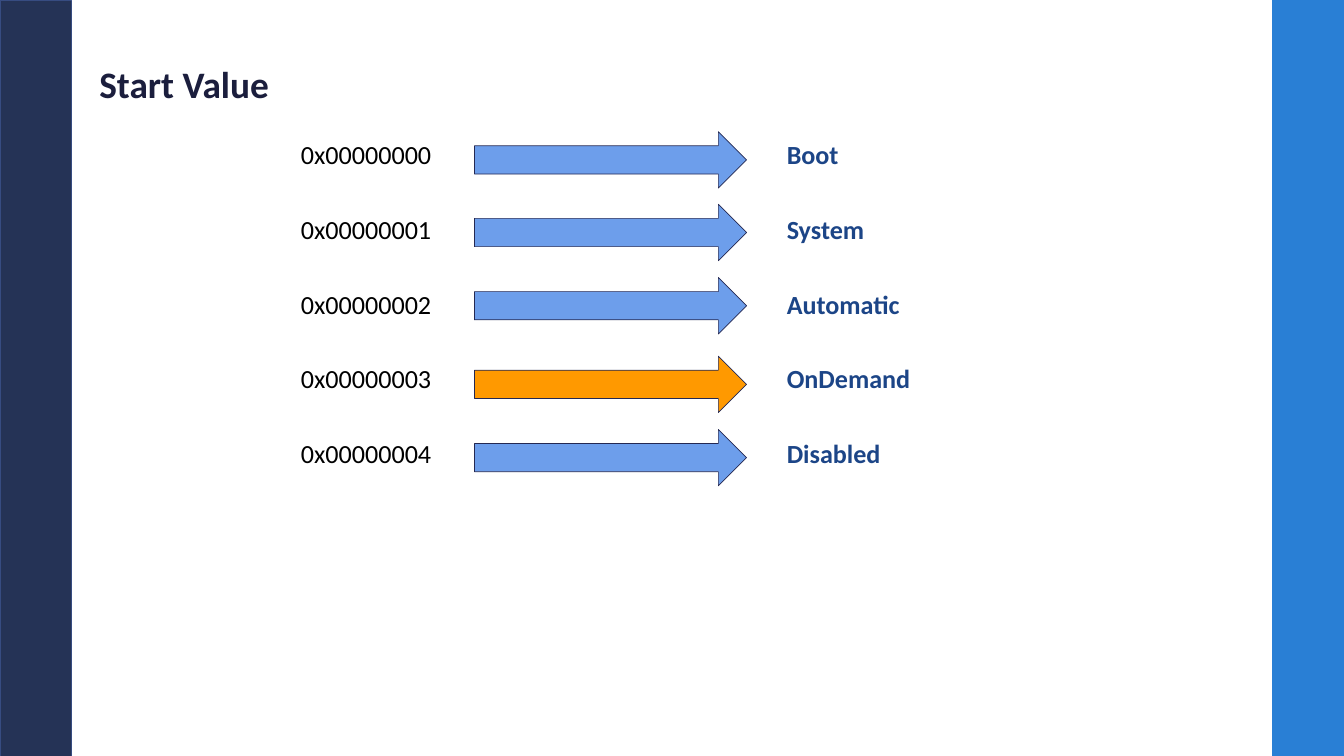
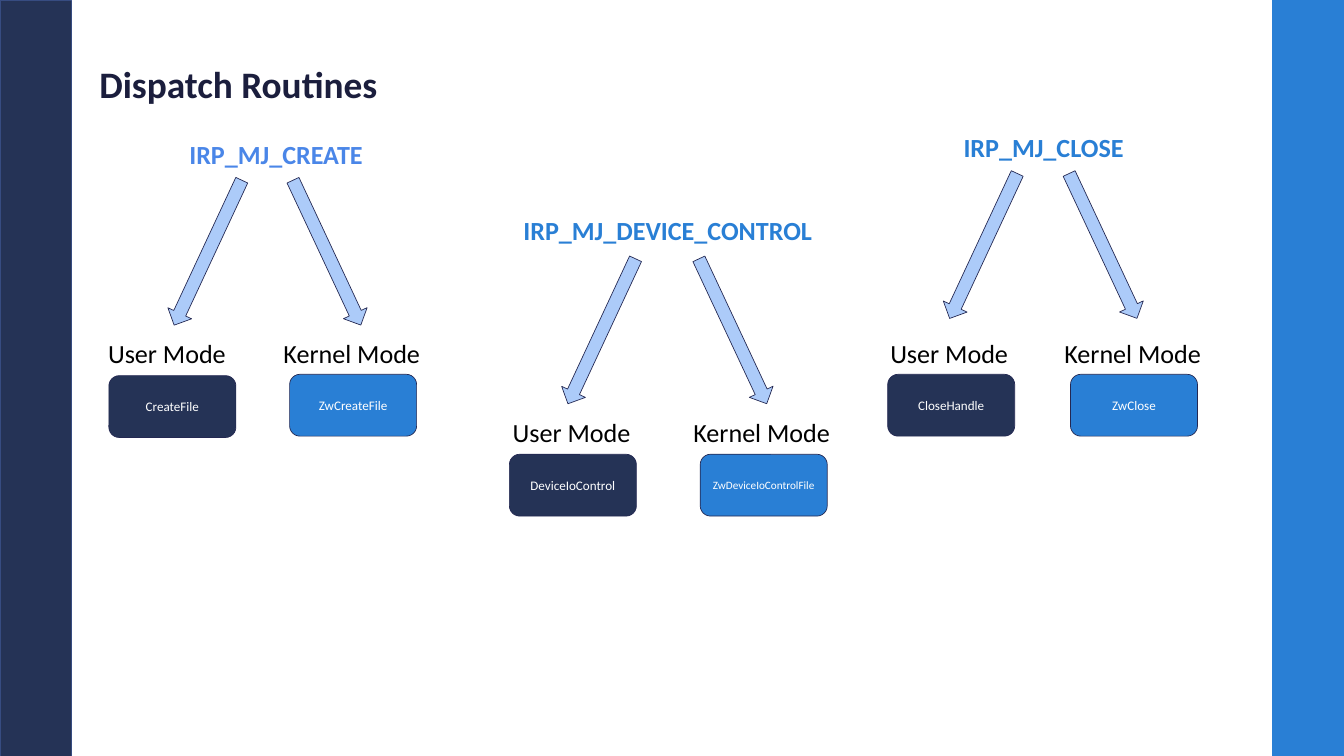
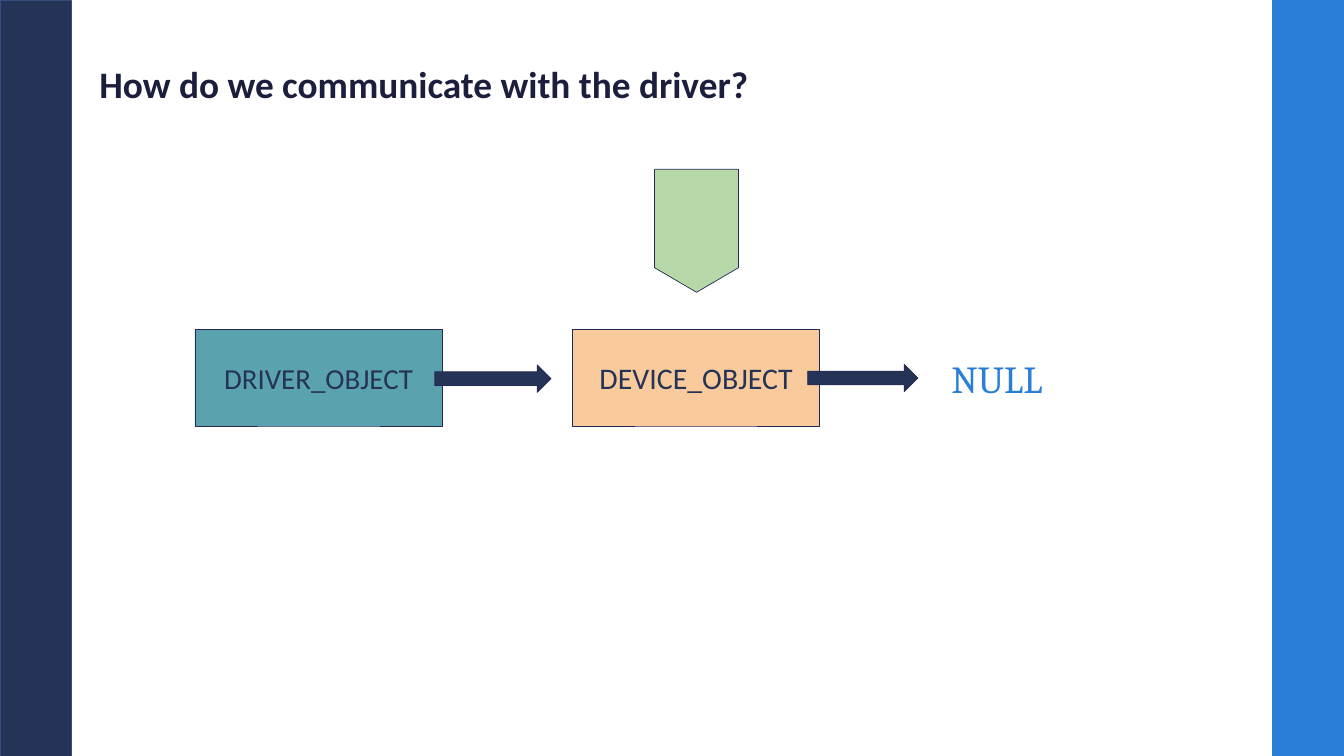
from dataclasses import dataclass
from typing import Optional

import pptx
import pptx.dml.color
import pptx.enum.shapes
import pptx.enum.text
import pptx.util

Inches = pptx.util.Inches
Pt = pptx.util.Pt
Shape = pptx.enum.shapes.MSO_SHAPE
Align = pptx.enum.text.PP_ALIGN
Anchor = pptx.enum.text.MSO_ANCHOR

# Shared palette and measures
NAVY, BLUE, OUTLINE = "253356", "297FD5", "242852"
BAND_EDGE, TITLE_INK = "374C81", "1B1E3D"
BLACK, WHITE = "000000", "FFFFFF"
ARROW_BLUE, ARROW_PALE, ARROW_ORANGE = "6D9EEB", "ACCBF9", "FF9900"
START_TYPE_INK, CREATE_INK = "1C4587", "4A86E8"
DRIVER_FILL, DEVICE_FILL, POINTER_FILL = "5AA2AE", "F9CB9C", "B6D7A8"
SLIDE_W, SLIDE_H, BAND_W = 20, 11.25, 1.06


@dataclass(frozen=True)
class Box:
    left: float
    top: float
    width: float
    height: float

    def emu(self) -> tuple:
        return tuple(Inches(v) for v in (self.left, self.top, self.width, self.height))


@dataclass(frozen=True)
class TextStyle:
    size: float
    color: str
    bold: bool = False
    font: str = "Calibri"
    align: Align = Align.LEFT
    anchor: Anchor = Anchor.TOP
    pad: float = 0.05
    line_spacing: float = 1.0
    space_before: float = 0


@dataclass(frozen=True)
class StartType:
    value: str
    name: str
    arrow_top: float
    arrow_fill: str = ARROW_BLUE


@dataclass(frozen=True)
class Branch:
    """One mode under a dispatch routine, with the call that triggers it."""
    call: str
    arrow_left: float
    label_left: float
    call_left: float
    call_top: float
    call_size: float = 14


@dataclass(frozen=True)
class Routine:
    name: str
    name_box: Box
    name_color: str
    arrow_top: float
    label_top: float
    user: Branch
    kernel: Branch


@dataclass(frozen=True)
class Mode:
    label: str
    label_width: float
    fill: str
    arrow_turn: float


TITLE = TextStyle(40, TITLE_INK, bold=True, anchor=Anchor.MIDDLE, line_spacing=0.9)
MODE_LABEL = TextStyle(28, BLACK, pad=0.1)
USER_MODE = Mode("User Mode", 2, NAVY, 25)
KERNEL_MODE = Mode("Kernel Mode", 2.28, BLUE, 334.9)

START_TYPES = [
    StartType("0x00000000", "Boot", 1.96),
    StartType("0x00000001", "System", 3.04),
    StartType("0x00000002", "Automatic", 4.13),
    StartType("0x00000003", "OnDemand", 5.3, ARROW_ORANGE),
    StartType("0x00000004", "Disabled", 6.39),
]

ROUTINES = [
    Routine("IRP_MJ_CREATE", Box(2.72, 2.06, 3.07, 0.92), CREATE_INK, 2.57, 4.92,
            Branch("CreateFile", 2.9, 1.51, 1.62, 5.59),
            Branch("ZwCreateFile", 4.67, 4.12, 4.31, 5.57)),
    Routine("IRP_MJ_DEVICE_CONTROL", Box(7.69, 3.2, 4.62, 0.92), BLUE, 3.74, 6.09,
            Branch("DeviceIoControl", 8.76, 7.53, 7.58, 6.76),
            Branch("ZwDeviceIoControlFile", 10.71, 10.22, 10.42, 6.76, 12)),
    Routine("IRP_MJ_CLOSE", Box(14.24, 1.96, 3.07, 0.92), BLUE, 2.47, 4.92,
            Branch("CloseHandle", 14.44, 13.15, 13.21, 5.57),
            Branch("ZwClose", 16.22, 15.74, 15.93, 5.57)),
]


def rgb(color: str) -> pptx.dml.color.RGBColor:
    return pptx.dml.color.RGBColor.from_string(color)


def apply(target, formats: dict) -> None:
    for name, value in formats.items():
        setattr(target, name, value)


def write(frame, lines: list[str], style: TextStyle) -> None:
    apply(frame, {
        "word_wrap": True, "vertical_anchor": style.anchor,
        "margin_left": Inches(0.1), "margin_right": Inches(0.1),
        "margin_top": Inches(style.pad), "margin_bottom": Inches(style.pad),
    })
    for index, line in enumerate(lines):
        paragraph = frame.add_paragraph() if index else frame.paragraphs[0]
        apply(paragraph, {
            "alignment": style.align, "line_spacing": style.line_spacing,
            "space_before": Pt(style.space_before),
        })
        run = paragraph.add_run()
        run.text = line
        apply(run.font, {"name": style.font, "size": Pt(style.size), "bold": style.bold})
        run.font.color.rgb = rgb(style.color)


def add_text(slide, box: Box, lines: list[str], style: TextStyle) -> None:
    write(slide.shapes.add_textbox(*box.emu()).text_frame, lines, style)


def add_block(slide, kind: Shape, box: Box, fill: str, edge: str = OUTLINE,
              edge_width: float = 0.75, turn: float = 0, text: str = "",
              style: Optional[TextStyle] = None) -> None:
    block = slide.shapes.add_shape(kind, *box.emu())
    block.shadow.inherit = False
    block.rotation = turn
    block.fill.solid()
    block.fill.fore_color.rgb = rgb(fill)
    block.line.color.rgb = rgb(edge)
    block.line.width = Pt(edge_width)
    if style:
        write(block.text_frame, [text], style)


def block_text(size: float, color: str) -> TextStyle:
    return TextStyle(size, color, align=Align.CENTER, anchor=Anchor.MIDDLE, pad=0.1)


def add_slide(deck, title: str):
    slide = deck.slides.add_slide(deck.slide_layouts[6])
    bands = [(0, NAVY, BAND_EDGE), (SLIDE_W - BAND_W, BLUE, BLUE)]
    for left, fill, edge in bands:
        add_block(slide, Shape.RECTANGLE, Box(left, 0, BAND_W, SLIDE_H), fill, edge, 1)
    add_text(slide, Box(1.38, 0.6, 17.25, 1.36), [title], TITLE)
    return slide


def add_start_values(deck) -> None:
    slide = add_slide(deck, "Start Value")
    columns = [
        (4.38, [start.value for start in START_TYPES], BLACK, False),
        (11.61, [start.name for start in START_TYPES], START_TYPE_INK, True),
    ]
    for left, lines, color, bold in columns:
        style = TextStyle(28, color, bold, line_spacing=0.9, space_before=49.6)
        add_text(slide, Box(left, 2.07, 3.43, 8.06), lines, style)
    for start in START_TYPES:
        add_block(slide, Shape.RIGHT_ARROW, Box(7.06, start.arrow_top, 4.05, 0.84),
                  start.arrow_fill)


def add_branch(slide, routine: Routine, branch: Branch, mode: Mode) -> None:
    add_block(slide, Shape.DOWN_ARROW, Box(branch.arrow_left, routine.arrow_top, 0.39, 2.38),
              ARROW_PALE, turn=mode.arrow_turn)
    add_text(slide, Box(branch.label_left, routine.label_top, mode.label_width, 0.67),
             [mode.label], MODE_LABEL)
    add_block(slide, Shape.ROUNDED_RECTANGLE,
              Box(branch.call_left, branch.call_top, 1.89, 0.92), mode.fill,
              text=branch.call, style=block_text(branch.call_size, WHITE))


def add_dispatch_routines(deck) -> None:
    slide = add_slide(deck, "Dispatch Routines")
    for routine in ROUTINES:
        add_text(slide, routine.name_box, [routine.name],
                 TextStyle(28, routine.name_color, bold=True, line_spacing=0.9))
        add_branch(slide, routine, routine.user, USER_MODE)
        add_branch(slide, routine, routine.kernel, KERNEL_MODE)


def add_driver_communication(deck) -> None:
    slide = add_slide(deck, "How do we communicate with the driver?")
    # Object chain ending in NULL
    kernel_objects = [
        ("DRIVER_OBJECT", 2.9, DRIVER_FILL, 31),
        ("DEVICE_OBJECT", 8.52, DEVICE_FILL, 32),
    ]
    for name, left, fill, size in kernel_objects:
        add_block(slide, Shape.RECTANGLE, Box(left, 4.9, 3.68, 1.44), fill,
                  text=name, style=block_text(size, NAVY))
    add_text(slide, Box(14.06, 5.19, 1.86, 0.87), ["NULL"],
             TextStyle(41, BLUE, font="Cambria", pad=0.1))
    for next_link in (Box(6.47, 5.43, 1.73, 0.41), Box(12.02, 5.42, 1.64, 0.41)):
        add_block(slide, Shape.RIGHT_ARROW, next_link, NAVY)
    # Pointer to the device object
    add_block(slide, Shape.FLOWCHART_OFFPAGE_CONNECTOR, Box(9.74, 2.52, 1.25, 1.83),
              POINTER_FILL)


def main() -> None:
    deck = pptx.Presentation()
    deck.slide_width, deck.slide_height = Inches(SLIDE_W), Inches(SLIDE_H)
    add_start_values(deck)
    add_dispatch_routines(deck)
    add_driver_communication(deck)
    deck.save("out.pptx")


if __name__ == "__main__":
    main()
